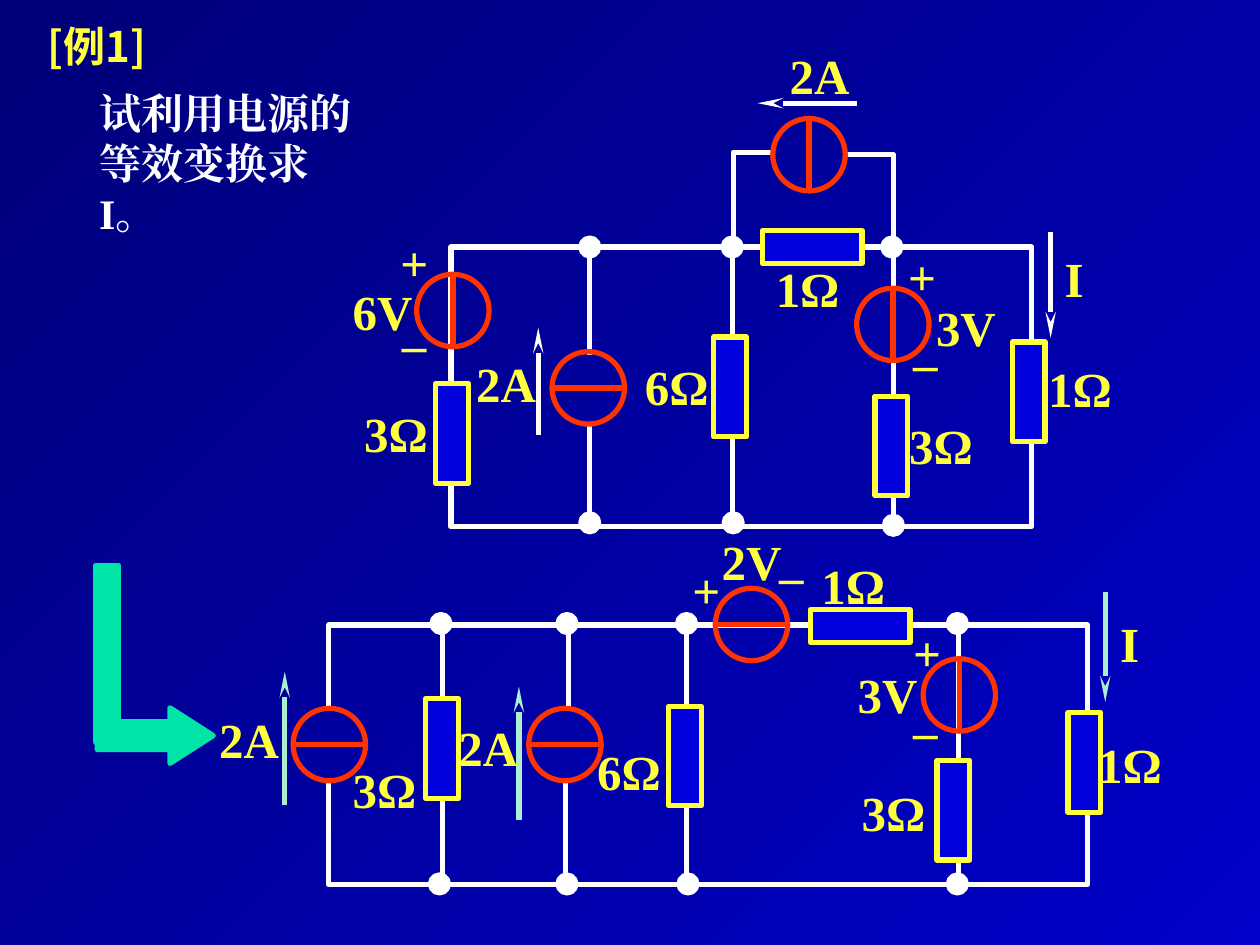
from lxml.etree import SubElement as Sub
from pptx import Presentation
from pptx.dml.color import RGBColor as RGB
from pptx.enum.shapes import MSO_CONNECTOR as Conn, MSO_SHAPE as Kind
from pptx.enum.text import MSO_ANCHOR as Anchor, MSO_AUTO_SIZE as Auto, PP_ALIGN as Align
from pptx.oxml.ns import qn
from pptx.util import Cm, Pt

HUE = {"dark": "000078", "blue": "0000C8", "fill": "0000DC", "gold": "FFFF3D",
       "white": "FFFFFF", "red": "FF3300", "green": "00E4A8", "mint": "AAEFD1"}
SERIF, SANS = "Times New Roman", "Noto Sans CJK SC"
TITLE = "[例1]"
TASK = "试利用电源的等效变换求I。"
WIDE = {"+": 1.24, "–": 1.24, "I": 1.4, "Ω": 2.13, "V": 2.82, "A": 2.82}
BULB, LONG, THIN, DOT = 1.46, 2.01, 0.66, 0.36

UPPER = {
    "loop": (9.09, 4.98, 11.71, 5.64),
    "wires": [(18.01, 4.93, 18.01, 10.64), (14.76, 5.03, 14.76, 10.59),
              (11.89, 7.16, 11.89, 4.98), (11.89, 8.56, 11.89, 10.59)],
    "bends": [[(18.01, 4.98), (18.01, 3.12), (17.07, 3.12)],
              [(14.78, 4.93), (14.78, 3.07), (15.57, 3.07)]],
    "sources": [(11.86, 7.82, "h"), (9.13, 6.26, "v"), (18, 6.54, "v"), (16.31, 3.12, "v")],
    "loads": [(9.11, 8.74, "v"), (20.74, 7.9, "v"), (14.72, 7.8, "v"),
              (16.37, 4.98, "h"), (17.97, 8.99, "v")],
    "nodes": [(11.89, 4.98), (14.76, 4.98), (17.98, 4.98),
              (11.89, 10.54), (14.78, 10.54), (18.01, 10.59)],
    "flows": [(10.85, 6.6, 10.85, 8.76), (21.18, 6.81, 21.18, 4.67), (15.27, 2.08, 17.27, 2.08)],
    "tint": "white",
    "labels": [("+", 7.82, 4.57), ("–", 7.85, 6.2), ("+", 18.06, 4.85), ("–", 18.16, 6.58),
               ("6V", 6.86, 5.56), ("2A", 9.35, 7.01), ("3V", 18.62, 5.87), ("I", 21.21, 4.88),
               ("3Ω", 7.09, 8), ("6Ω", 12.75, 7.06), ("1Ω", 15.39, 5.08),
               ("3Ω", 18.08, 8.26), ("1Ω", 20.88, 7.11), ("2A", 15.67, 0.79)],
}
LOWER = {
    "loop": (8.92, 12.6, 13, 5.23),
    "wires": [(11.46, 14.27, 11.46, 12.6), (11.4, 15.77, 11.4, 17.73),
              (13.84, 12.6, 13.84, 17.86), (19.33, 12.6, 19.33, 17.88)],
    "bends": [[(8.92, 12.6), (6.63, 12.6), (6.63, 14.33)],
              [(9.02, 17.83), (6.63, 17.83), (6.63, 15.77)]],
    "sources": [(11.39, 15.01, "h"), (15.15, 12.59, "h"), (19.34, 14.01, "v"), (6.64, 15.01, "h")],
    "loads": [(17.34, 12.62, "h"), (8.91, 15.09, "v"), (13.81, 15.24, "v"),
              (19.22, 16.33, "v"), (21.86, 15.37, "v")],
    "nodes": [(8.89, 12.57), (11.43, 12.57), (13.84, 12.57), (19.3, 12.57),
              (8.86, 17.82), (11.43, 17.82), (13.87, 17.82), (19.3, 17.82)],
    "flows": [(5.74, 13.54, 5.74, 16.23), (10.46, 13.84, 10.46, 16.54),
              (22.28, 14.15, 22.28, 11.94)],
    "tint": "mint",
    "labels": [("+", 13.56, 11.13, 270), ("–", 15.21, 11.18, 180), ("+", 18.16, 12.42),
               ("–", 18.16, 14), ("2A", 4.17, 14.17), ("2A", 8.99, 14.33), ("3Ω", 6.86, 15.19),
               ("6Ω", 11.79, 14.83), ("1Ω", 16.31, 11.07), ("1Ω", 21.89, 14.68),
               ("3Ω", 17.12, 15.65), ("2V", 14.3, 10.59), ("3V", 17.04, 13.28),
               ("I", 22.33, 12.24)],
}


def paint(shape, line, fill=None):
    shape.shadow.inherit = False
    shape.line.color.rgb = RGB.from_string(HUE[line])
    shape.line.width = Pt(3)
    if fill:
        shape.fill.solid()
        shape.fill.fore_color.rgb = RGB.from_string(HUE[fill])
    else:
        shape.fill.background()
    return shape


def block(pen, kind, x, y, w, h, line, fill=None):
    return paint(pen.add_shape(kind, Cm(x), Cm(y), Cm(w), Cm(h)), line, fill)


def center(pen, kind, x, y, w, h, line, fill=None):
    return block(pen, kind, x - w / 2, y - h / 2, w, h, line, fill)


def wire(pen, ends, tint, tip=False):
    line = pen.add_connector(Conn.STRAIGHT, *map(Cm, ends))
    line.line.color.rgb = RGB.from_string(HUE[tint])
    line.line.width = Pt(3)
    prop = line._element.spPr
    if tip:
        Sub(prop.find(qn("a:ln")), qn("a:headEnd"), type="stealth", w="sm", len="lg")
    Sub(prop, qn("a:effectLst"))


def write(frame, text, size, font, tint):
    para = frame.paragraphs[0]
    para.alignment = Align.LEFT
    gap = Sub(para._p.get_or_add_pPr(), qn("a:spcBef"))
    Sub(gap, qn("a:spcPct"), val="50000")
    run = para.add_run()
    run.text = text
    run.font.size, run.font.bold, run.font.name = Pt(size), True, font
    run.font.color.rgb = RGB.from_string(HUE[tint])
    Sub(run._r.get_or_add_rPr(), qn("a:ea"), typeface=font)


def note(pen, text, x, y, w, h, size, tint, turn=0):
    box = pen.add_textbox(Cm(x), Cm(y), Cm(w), Cm(h))
    box.rotation = turn
    box.text_frame.word_wrap = True
    box.text_frame.auto_size = Auto.SHAPE_TO_FIT_TEXT
    write(box.text_frame, text, size, SERIF, tint)


def draw(slide, plan):
    pen = slide.shapes.add_group_shape().shapes
    block(pen, Kind.RECTANGLE, *plan["loop"], "white")
    for ends in plan["wires"]:
        wire(pen, ends, "white")
    for bend in plan["bends"]:
        first, *rest = [(Cm(x), Cm(y)) for x, y in bend]
        form = pen.build_freeform(*first)
        form.add_line_segments(rest, close=False)
        paint(form.convert_to_shape(), "white")
    for x, y, way in plan["sources"]:
        center(pen, Kind.OVAL, x, y, BULB, BULB, "red")
        dx, dy = (BULB / 2, 0) if way == "h" else (0, BULB / 2)
        wire(pen, (x - dx, y - dy, x + dx, y + dy), "red")
    for x, y, way in plan["loads"]:
        load = center(pen, Kind.RECTANGLE, x, y, LONG, THIN, "gold", "fill")
        load.rotation = 270 if way == "v" else 180
    for x, y in plan["nodes"]:
        center(pen, Kind.OVAL, x, y, DOT, DOT, "white", "white")
    for ends in plan["flows"]:
        wire(pen, ends, plan["tint"], True)
    for text, x, y, *turn in plan["labels"]:
        note(pen, text, x, y, WIDE[text[-1]], 1.45, 28, "gold", *turn)


def main():
    deck = Presentation()
    deck.slide_width, deck.slide_height = Cm(25.4), Cm(19.05)
    slide = deck.slides.add_slide(deck.slide_layouts[5])
    back = slide.background.fill
    back.gradient()
    back.gradient_angle = 315
    for stop, tint in zip(back.gradient_stops, ("dark", "blue")):
        stop.color.rgb = RGB.from_string(HUE[tint])

    title = slide.shapes.title
    title.left, title.top, title.width, title.height = map(Cm, (0.71, 0.2, 3.58, 1.35))
    title.text_frame.vertical_anchor = Anchor.BOTTOM
    write(title.text_frame, TITLE, 24, SANS, "gold")

    draw(slide, UPPER)
    note(slide.shapes, TASK, 1.75, 1.63, 5.66, 2.29, 24, "white")
    turn = slide.shapes.add_group_shape().shapes
    block(turn, Kind.RECTANGLE, 1.93, 11.4, 0.46, 3.56, "green", "green")
    arrow = block(turn, Kind.RIGHT_ARROW, 1.96, 14.27, 2.34, 1.12, "green", "green")
    arrow.adjustments[0], arrow.adjustments[1] = 0.5, 0.78
    draw(slide, LOWER)
    deck.save("out.pptx")


if __name__ == "__main__":
    main()
